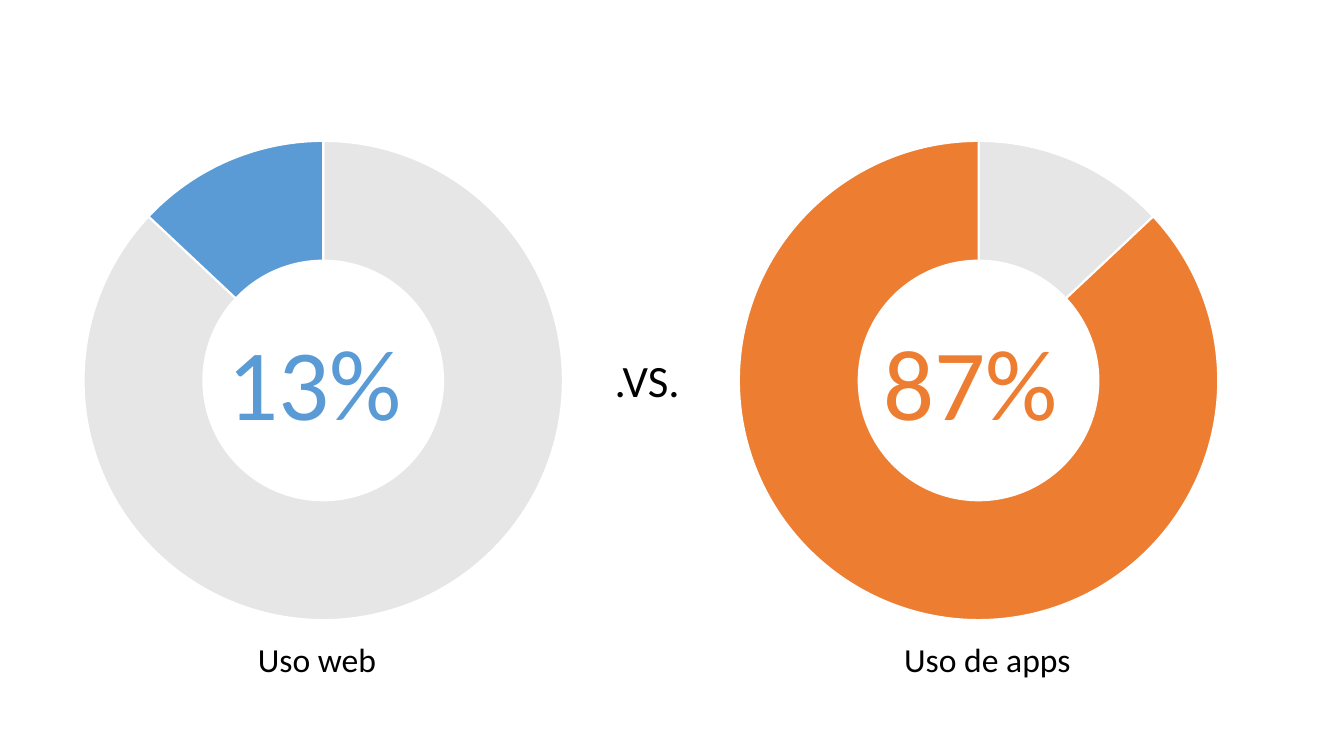
from dataclasses import dataclass

from pptx import Presentation
from pptx.chart.data import CategoryChartData
from pptx.dml.color import RGBColor
from pptx.enum.chart import XL_CHART_TYPE
from pptx.enum.text import MSO_AUTO_SIZE
from pptx.oxml.ns import qn
from pptx.util import Inches, Pt

DOUGHNUT = XL_CHART_TYPE.DOUGHNUT
GROW = MSO_AUTO_SIZE.SHAPE_TO_FIT_TEXT
HOLE_SIZE = 75


@dataclass(frozen=True)
class Theme:
    """Colours, font and type sizes of the slide."""
    font: str = "Calibri"
    ink: RGBColor = RGBColor(0, 0, 0)
    paper: RGBColor = RGBColor(255, 255, 255)
    rest: RGBColor = RGBColor(0xE7, 0xE6, 0xE6)
    web: RGBColor = RGBColor(0x5B, 0x9B, 0xD5)
    apps: RGBColor = RGBColor(0xED, 0x7D, 0x31)
    chart_size: Pt = Pt(10)
    caption_size: Pt = Pt(24)
    versus_size: Pt = Pt(32)
    share_size: Pt = Pt(72)


THEME = Theme()


def within(box, left, top, width, height):
    """Return the part of a box given in percent of its size."""
    x, y, w, h = box
    return (round(x + w * left / 100), round(y + h * top / 100),
            round(w * width / 100), round(h * height / 100))


def add_label(slide, box, text, size, color):
    """Write one line of text in the box."""
    frame = slide.shapes.add_textbox(*box).text_frame
    frame.word_wrap = True
    frame.auto_size = GROW
    line = frame.paragraphs[0]
    line.text = text
    line.font.name = THEME.font
    line.font.size = size
    line.font.color.rgb = color


def add_ring(slide, box, share, color):
    """Draw a doughnut that ends with the highlighted share."""
    usage = CategoryChartData()
    usage.categories = ["1", "2"]
    usage.add_series("Series 1", (100 - share, share))
    chart = slide.shapes.add_chart(DOUGHNUT, *box, usage).chart
    chart.has_legend = False
    chart.has_title = False
    chart.font.name = THEME.font
    chart.font.size = THEME.chart_size
    chart.font.color.rgb = THEME.ink
    ring = chart.plots[0]
    ring.vary_by_categories = True
    hole = next(chart.element.iter(qn("c:holeSize")))
    hole.set("val", str(HOLE_SIZE))
    for index, fill_color in enumerate((THEME.rest, color)):
        slice_format = ring.series[0].points[index].format
        slice_format.fill.solid()
        slice_format.fill.fore_color.rgb = fill_color
        slice_format.line.color.rgb = THEME.paper
        slice_format.line.width = Pt(1.5)


def add_usage_panel(slide, box, share, color, caption, caption_left, caption_width):
    """Place a ring, its percentage and the caption below it."""
    add_ring(slide, box, share, color)
    add_label(slide, within(box, 32.5, 37, 35.2, 26), f"{share}%",
              THEME.share_size, color)
    add_label(slide, within(box, caption_left, 100, caption_width, 10), caption,
              THEME.caption_size, THEME.ink)


def build_comparison(slide, page):
    """Set the two usage panels side by side with the versus mark between."""
    panels = (
        (1.65, 13, THEME.web, "Uso web", 37.5, 25),
        (50.41, 87, THEME.apps, "Uso de apps", 36, 31.8),
    )
    for left, *content in panels:
        add_usage_panel(slide, within(page, left, 16.8, 44.8, 67.07), *content)
    add_label(slide, within(page, 45, 46, 6.9, 8.5), ".VS.",
              THEME.versus_size, THEME.ink)


def main():
    """Build and save the slide."""
    deck = Presentation()
    deck.slide_width = Inches(13.33)
    deck.slide_height = Inches(7.5)
    slide = deck.slides.add_slide(deck.slide_layouts[6])
    build_comparison(slide, (0, 0, deck.slide_width, deck.slide_height))
    deck.save("out.pptx")


if __name__ == "__main__":
    main()
